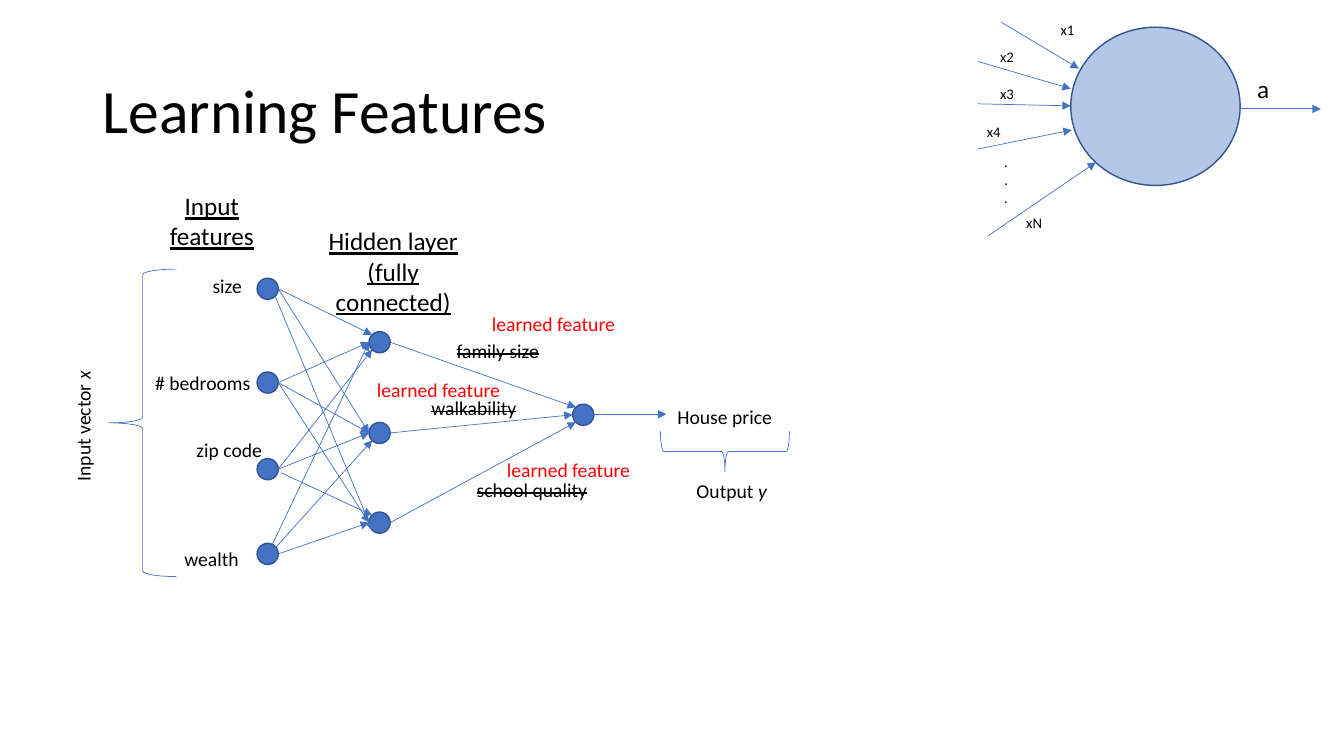
"""Build the Learning Features slide: a small neural network and a single neuron."""
from pptx import Presentation, util as u
from pptx.dml.color import RGBColor
from pptx.enum import shapes as kinds, text as layout
from pptx.oxml.ns import qn
from lxml import etree

COLUMNS, ROWS = 1333, 750
CELL = u.Inches(0.01)
FONT = "Calibri"
COLORS = {"ink": "000000", "learned": "FF0000", "blue": "4472C4",
          "edge": "325491", "pale": "B4C7E7"}

NEURON = (1062, 27, 168, 157)
NEURON_ARROWS = [(993, 22, 1070, 68), (970, 61, 1062, 88), (970, 103, 1062, 105),
                 (969, 148, 1063, 129), (980, 234, 1087, 161), (1230, 108, 1310, 108)]
NEURON_LABELS = [("x1", 1042, 16), ("x2", 982, 43), ("x3", 982, 79),
                 ("x4", 969, 117), ("xN", 1008, 207)]

DIAMETER = 21
NODES = {"size": (255, 276), "bedrooms": (255, 369), "zip": (255, 455), "wealth": (255, 539),
         "family": (366, 329), "walk": (366, 419), "school": (366, 508),
         "price": (568, 401)}
SITES = {"left": (0, 0.5), "right": (1, 0.5), "top left": (0.15, 0.15),
         "low left": (0.15, 0.85), "low right": (0.85, 0.85),
         "inner": (0.67, 0.43), "inner top": (0.67, 0.15), "beyond": (1.14, 0.67)}
EDGES = [("size", "right", "family", "top left"), ("size", "right", "walk", "left"),
         ("size", "low right", "school", "low left"),
         ("bedrooms", "right", "family", "left"), ("bedrooms", "right", "walk", "left"),
         ("bedrooms", "right", "school", "left"),
         ("zip", "right", "family", "low left"), ("zip", "right", "walk", "left"),
         ("zip", "beyond", "school", "top left"),
         ("wealth", "inner top", "family", "left"), ("wealth", "inner", "walk", "low left"),
         ("wealth", "right", "school", "left"),
         ("family", "right", "price", "top left"), ("walk", "right", "price", "left"),
         ("school", "right", "price", "low left")]
PRICE_ARROW = (589, 411, 661, 411)

HEADINGS = [("Input features", (154, 184, 112, 71)),
            ("Hidden layer (fully connected)", (303, 219, 174, 101))]
LABELS = [("size", (201, 267, 53, 34)), ("# bedrooms", (144, 363, 131, 34)),
          ("zip code", (185, 430, 85, 57)), ("wealth", (173, 538, 143, 34)),
          ("House price", (662, 397, 143, 34))]
STRUCK = [("family size", (443, 331, 143, 34)), ("walkability", (418, 388, 143, 34)),
          ("school quality", (463, 469, 143, 34))]
LEARNED = [(478, 305, 149, 34), (364, 370, 143, 34), (493, 449, 143, 34)]
BRACES = [(kinds.MSO_SHAPE.LEFT_BRACE, (108, 267, 67, 305), 0),
          (kinds.MSO_SHAPE.RIGHT_BRACE, (699, 384, 40, 128), 90)]


def cells(values):
    return [round(value * CELL) for value in values]


def color(name):
    return RGBColor.from_string(COLORS[name])


def add_text(parent, text, box, size=14, ink="ink", variable="", center=False,
             underline=None, strike=False, rotation=0, middle=False, spacing=None):
    shape = parent.add_textbox(*cells(box))
    shape.rotation = rotation
    frame = shape.text_frame
    frame.word_wrap = True
    if middle:
        frame.vertical_anchor = layout.MSO_ANCHOR.MIDDLE
    for index, line in enumerate(text.split("\n")):
        paragraph = frame.add_paragraph() if index else frame.paragraphs[0]
        paragraph.line_spacing = spacing
        if center:
            paragraph.alignment = layout.PP_ALIGN.CENTER
        for words, italic in ((line, None), (variable, True)):
            if not words:
                continue
            run = paragraph.add_run()
            run.text = words
            font = run.font
            font.name, font.size = FONT, u.Pt(size)
            font.italic, font.underline = italic, underline
            font.color.rgb = color(ink)
            if strike:
                run._r.get_or_add_rPr().set("strike", "sngStrike")


def add_outline(parent, kind, box, fill=None, line="edge", width=1, rotation=0):
    shape = parent.add_shape(kind, *cells(box))
    shape.shadow.inherit = False
    shape.rotation = rotation
    if fill:
        shape.fill.solid()
        shape.fill.fore_color.rgb = color(fill)
    else:
        shape.fill.background()
    shape.line.color.rgb = color(line)
    shape.line.width = u.Pt(width)


def add_arrow(parent, ends):
    arrow = parent.add_connector(kinds.MSO_CONNECTOR.STRAIGHT, *cells(ends))
    arrow.line.color.rgb = color("blue")
    arrow.line.width = u.Pt(0.5)
    etree.SubElement(arrow.line._get_or_add_ln(), qn("a:tailEnd"), type="triangle")
    etree.SubElement(arrow._element.spPr, qn("a:effectLst"))


def site(node, place):
    return [start + share * DIAMETER for start, share in zip(NODES[node], SITES[place])]


def draw_neuron(parent):
    add_outline(parent, kinds.MSO_SHAPE.OVAL, NEURON, fill="pale")
    for ends in NEURON_ARROWS:
        add_arrow(parent, ends)
    for text, left, top in NEURON_LABELS:
        add_text(parent, text, (left, top, 61, 28), size=10.5)
    add_text(parent, ".\n.\n.", (986, 147, 37, 61), size=10.5)
    add_text(parent, "a", (1237, 68, 61, 39), size=18)


def draw_network(parent):
    for corner in NODES.values():
        add_outline(parent, kinds.MSO_SHAPE.OVAL, (*corner, DIAMETER, DIAMETER), fill="blue")
    for source, start, target, end in EDGES:
        add_arrow(parent, site(source, start) + site(target, end))
    add_arrow(parent, PRICE_ARROW)
    for kind, box, rotation in BRACES:
        add_outline(parent, kind, box, line="blue", width=0.5, rotation=rotation)


def write_labels(parent):
    for text, box in HEADINGS:
        add_text(parent, text, box, size=18, center=True, underline=True)
    for text, box in LABELS:
        add_text(parent, text, box)
    for text, box in STRUCK:
        add_text(parent, text, box, strike=True)
    for box in LEARNED:
        add_text(parent, "learned feature", box, ink="learned")
    add_text(parent, "Input vector ", (11, 399, 143, 34), variable="x", rotation=270)
    add_text(parent, "Output ", (681, 470, 143, 34), variable="y")


def main():
    presentation = Presentation()
    presentation.slide_width, presentation.slide_height = cells((COLUMNS, ROWS))
    slide = presentation.slides.add_slide(presentation.slide_layouts[6])
    add_text(slide.shapes, "Learning Features", (92, 40, 1150, 145),
             size=44, middle=True, spacing=0.9)
    draw_neuron(slide.shapes.add_group_shape().shapes)
    draw_network(slide.shapes)
    write_labels(slide.shapes)
    presentation.save("out.pptx")


if __name__ == "__main__":
    main()
